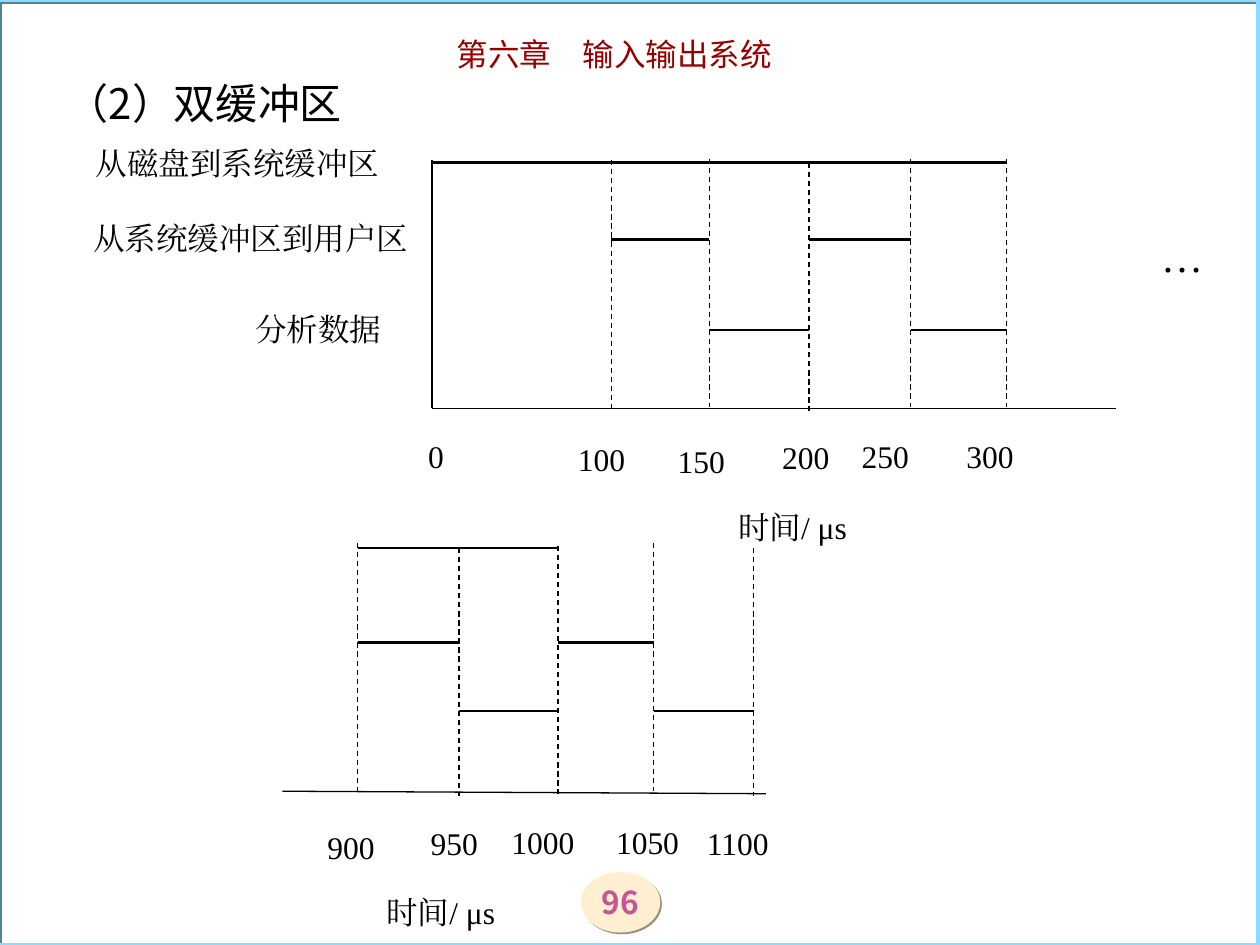
from dataclasses import dataclass
from typing import Optional

import pptx
import pptx.dml.color
import pptx.enum.dml
import pptx.enum.shapes
import pptx.enum.text
import pptx.oxml
import pptx.oxml.ns
import pptx.util

Cm = pptx.util.Cm
Pt = pptx.util.Pt
ALIGN = pptx.enum.text.PP_ALIGN
ANCHOR = pptx.enum.text.MSO_ANCHOR
AUTO_SIZE = pptx.enum.text.MSO_AUTO_SIZE
SHAPE = pptx.enum.shapes.MSO_SHAPE
SERIF = "Times New Roman"
SANS = "Noto Sans CJK SC"
BLACK = "000000"
TICK_HEIGHT = 5.0
LABEL_HEIGHT = 1.02


@dataclass(frozen=True)
class Label:
    text: str
    left: float
    top: float
    width: float
    height: float = LABEL_HEIGHT
    size: float = 18
    font: str = SERIF
    color: str = BLACK
    align: Optional[ALIGN] = None


@dataclass(frozen=True)
class Tick:
    x: float
    top: float
    label: Label
    dashed: bool = True


@dataclass(frozen=True)
class Bar:
    lane: int
    start: int
    end: int


@dataclass(frozen=True)
class Timeline:
    axis: tuple[float, float, float, float]
    lanes: tuple[float, ...]
    ticks: tuple[Tick, ...]
    bars: tuple[Bar, ...]
    caption: Label


TIMELINES = (
    Timeline(
        axis=(8.71, 8.23, 22.5, 8.23),
        lanes=(3.28, 4.83, 6.65),
        ticks=(
            Tick(8.71, 3.23, Label("0", 8.38, 8.69, 0.86), dashed=False),
            Tick(12.32, 3.23, Label("100", 11.4, 8.74, 1.73)),
            Tick(14.3, 3.2, Label("150", 13.41, 8.79, 1.73)),
            Tick(16.31, 3.28, Label("200", 15.52, 8.71, 1.73)),
            Tick(18.36, 3.2, Label("250", 17.12, 8.69, 1.55)),
            Tick(20.29, 3.2, Label("300", 19.23, 8.69, 1.47)),
        ),
        bars=(Bar(0, 0, 1), Bar(0, 1, 3), Bar(0, 3, 5), Bar(1, 1, 2),
              Bar(1, 3, 4), Bar(2, 2, 3), Bar(2, 4, 5)),
        caption=Label("时间/ μs", 14.63, 10.11, 3.53),
    ),
    Timeline(
        axis=(5.69, 15.95, 15.44, 16.0),
        lanes=(11.05, 12.95, 14.33),
        ticks=(
            Tick(7.21, 10.95, Label("900", 6.35, 16.56, 2.08)),
            Tick(9.25, 11.05, Label("950", 8.43, 16.48, 2.08)),
            Tick(11.25, 11.0, Label("1000", 10.06, 16.46, 2.08)),
            Tick(13.18, 10.95, Label("1050", 12.17, 16.46, 1.85)),
            Tick(15.19, 11.05, Label("1100", 14.0, 16.48, 2.08)),
        ),
        bars=(Bar(0, 0, 2), Bar(1, 0, 1), Bar(1, 2, 3), Bar(2, 1, 2), Bar(2, 3, 4)),
        caption=Label("时间/ μs", 7.54, 17.88, 3.53),
    ),
)

LABELS = (
    Label("第六章　输入输出系统", 5.28, 0.58, 14.2, font="Noto Sans CJK JP",
          color="990000", align=ALIGN.CENTER),
    Label("从磁盘到系统缓冲区", 1.68, 2.77, 6.4),
    Label("从系统缓冲区到用户区", 1.63, 4.29, 7.09),
    Label("分析数据", 4.9, 6.12, 3.2),
    Label("…", 23.16, 4.52, 1.6, height=1.27, size=24),
)


def paint(target, color: str) -> None:
    if isinstance(target, pptx.dml.fill.FillFormat):
        target.solid()
        target = target.fore_color
    target.rgb = pptx.dml.color.RGBColor.from_string(color)


def write(frame, text: str, *, size: float = 18, font: str = SERIF, color: str = BLACK,
          bold: bool = False, align=None, spacing=None) -> None:
    para = frame.paragraphs[0]
    para.alignment = align
    para.line_spacing = spacing
    span = para.add_run()
    span.text = text
    span.font.size = Pt(size)
    span.font.name = font
    span.font.bold = bold
    paint(span.font.color, color)
    east_asian = pptx.oxml.parse_xml(
        f'<a:ea {pptx.oxml.ns.nsdecls("a")} typeface="{font}"/>')
    span.font._element.find(pptx.oxml.ns.qn("a:latin")).addnext(east_asian)


def add_label(page, label: Label) -> None:
    box = page.shapes.add_textbox(Cm(label.left), Cm(label.top),
                                  Cm(label.width), Cm(label.height))
    box.text_frame.word_wrap = True
    box.text_frame.auto_size = AUTO_SIZE.SHAPE_TO_FIT_TEXT
    write(box.text_frame, label.text, size=label.size, font=label.font,
          color=label.color, align=label.align)


def add_line(page, x1: float, y1: float, x2: float, y2: float,
             width: float = 0.75, dashed: bool = False) -> None:
    line = page.shapes.add_connector(pptx.enum.shapes.MSO_CONNECTOR.STRAIGHT,
                                     Cm(x1), Cm(y1), Cm(x2), Cm(y2))
    paint(line.line.fill, BLACK)
    line.line.width = Pt(width)
    if dashed:
        line.line.dash_style = pptx.enum.dml.MSO_LINE.DASH
    line._element.spPr.append(
        pptx.oxml.parse_xml(f'<a:effectLst {pptx.oxml.ns.nsdecls("a")}/>'))


def add_shadowed(page, kind, left: float, top: float, width: float, height: float,
                 shadow: str):
    shape = page.shapes.add_shape(kind, Cm(left), Cm(top), Cm(width), Cm(height))
    shape.fill.background()
    shape.line.fill.background()
    shape._element.spPr.append(pptx.oxml.parse_xml(
        f'<a:effectLst {pptx.oxml.ns.nsdecls("a")}>'
        f'<a:outerShdw dist="{Pt(1.4)}" dir="2700000" algn="ctr" rotWithShape="0">'
        f'<a:srgbClr val="{shadow}"/></a:outerShdw></a:effectLst>'))
    return shape


def add_timeline(page, timeline: Timeline) -> None:
    add_line(page, *timeline.axis)
    for tick in timeline.ticks:
        add_line(page, tick.x, tick.top, tick.x, tick.top + TICK_HEIGHT,
                 dashed=tick.dashed)
        add_label(page, tick.label)
    for bar in timeline.bars:
        y = timeline.lanes[bar.lane]
        add_line(page, timeline.ticks[bar.start].x, y, timeline.ticks[bar.end].x, y,
                 width=1.5)
    add_label(page, timeline.caption)


def add_page_number(page) -> None:
    badge = add_shadowed(page, SHAPE.OVAL, 11.71, 17.58, 1.6, 1.22, "998F7D")
    paint(badge.fill, "FFEFD1")
    frame = badge.text_frame
    frame.margin_left = frame.margin_right = frame.margin_top = frame.margin_bottom = 0
    frame.vertical_anchor = ANCHOR.MIDDLE
    write(frame, "96", font=SANS, color="C75399", bold=True, align=ALIGN.CENTER)


def add_frame(page) -> None:
    border = add_shadowed(page, SHAPE.RECTANGLE, -0.03, 0, 25.4, 19.05, "538399")
    paint(border.line.fill, "8ADBFF")
    border.line.width = Pt(2.25)


def set_title(page, text: str) -> None:
    title = page.shapes.title
    title.left, title.top = Cm(1.09), Cm(1.02)
    title.width, title.height = Cm(22.81), Cm(1.6)
    title.text_frame.auto_size = AUTO_SIZE.NONE
    title.text_frame.vertical_anchor = ANCHOR.MIDDLE
    write(title.text_frame, text, size=24, font=SANS, align=ALIGN.LEFT, spacing=1.5)


def main() -> None:
    deck = pptx.Presentation()
    deck.slide_width, deck.slide_height = Cm(25.4), Cm(19.05)
    page = deck.slides.add_slide(deck.slide_layouts.get_by_name("Title Only"))
    paint(page.background.fill, "FFFFFF")
    add_page_number(page)
    add_frame(page)
    set_title(page, "（2）双缓冲区")
    for label in LABELS:
        add_label(page, label)
    for timeline in TIMELINES:
        add_timeline(page, timeline)
    deck.save("out.pptx")


if __name__ == "__main__":
    main()
